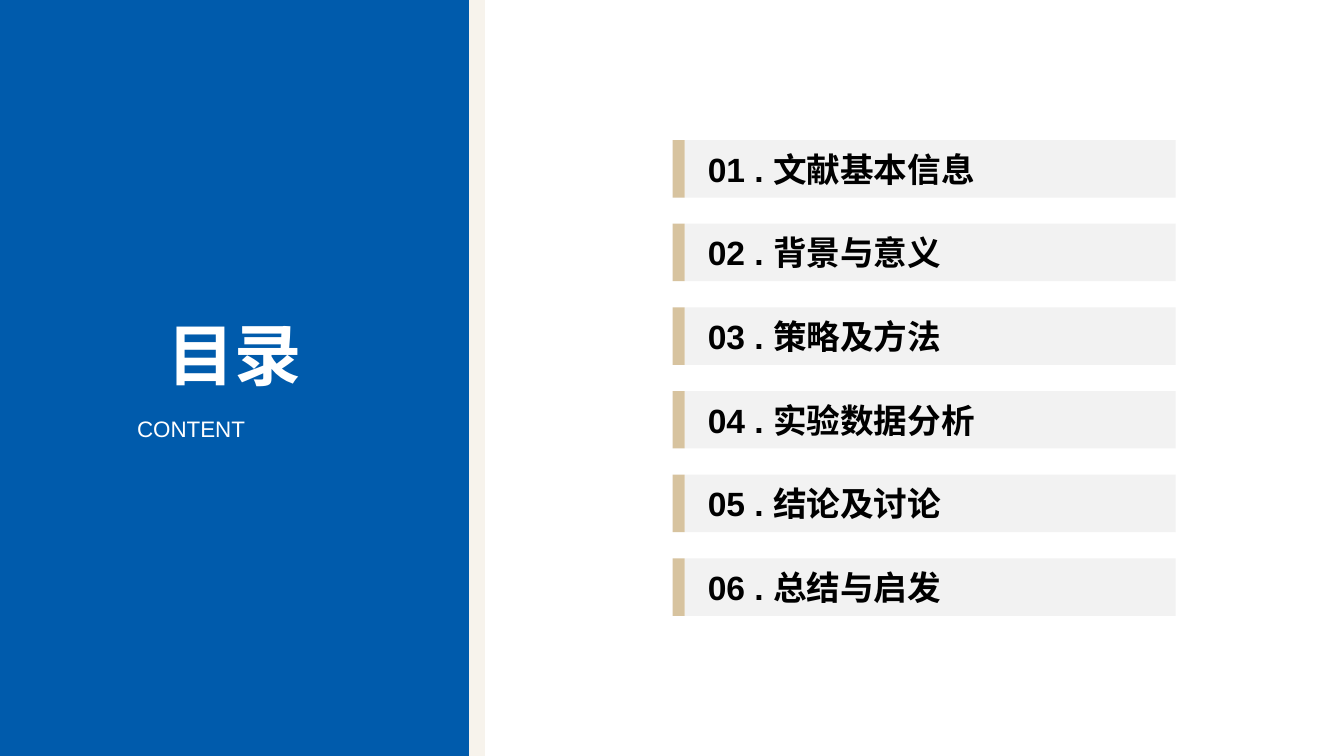
"""Build a contents slide with a blue side panel and six numbered entries."""
from dataclasses import dataclass

import pptx
import pptx.dml.color
import pptx.enum.shapes
import pptx.enum.text
import pptx.util

Inches = pptx.util.Inches
Align = pptx.enum.text.PP_ALIGN
Anchor = pptx.enum.text.MSO_ANCHOR

FONT = "Arial"
WHITE, BLACK = "FFFFFF", "000000"
BLUE, CREAM, TAN, GREY = "005BAC", "F7F3EC", "D7C39F", "F2F2F2"

ENTRIES = ["文献基本信息", "背景与意义", "策略及方法", "实验数据分析", "结论及讨论", "总结与启发"]
FIRST_TOP, ENTRY_PITCH, ENTRY_HEIGHT = 1.39, 0.83, 0.57
MARKER_LEFT, MARKER_WIDTH, ENTRY_WIDTH = 6.67, 0.12, 4.87


@dataclass(frozen=True)
class Box:
    left: float
    top: float
    width: float
    height: float

    def lengths(self) -> list[int]:
        return [Inches(value) for value in (self.left, self.top, self.width, self.height)]


@dataclass(frozen=True)
class TextStyle:
    size: int
    color: str
    bold: bool = False
    align: Align = Align.LEFT
    anchor: Anchor = Anchor.TOP
    left_inset: float = 0
    wrap: bool = True


def rgb(value: str) -> pptx.dml.color.RGBColor:
    return pptx.dml.color.RGBColor.from_string(value)


def add_block(slide, box: Box, color: str):
    shape = slide.shapes.add_shape(pptx.enum.shapes.MSO_SHAPE.RECTANGLE, *box.lengths())
    shape.shadow.inherit = False
    shape.fill.solid()
    shape.fill.fore_color.rgb = rgb(color)
    shape.line.fill.background()
    return shape


def write_text(shape, text: str, style: TextStyle) -> None:
    frame = shape.text_frame
    frame.margin_left = Inches(style.left_inset)
    frame.margin_top = frame.margin_right = frame.margin_bottom = 0
    frame.auto_size = pptx.enum.text.MSO_AUTO_SIZE.NONE
    frame.word_wrap = style.wrap
    frame.vertical_anchor = style.anchor
    paragraph = frame.paragraphs[0]
    paragraph.text = text
    paragraph.alignment = style.align
    paragraph.font.name = FONT
    paragraph.font.size = pptx.util.Pt(style.size)
    paragraph.font.bold = style.bold
    paragraph.font.color.rgb = rgb(style.color)


def add_entry(slide, index: int, name: str) -> None:
    top = FIRST_TOP + index * ENTRY_PITCH
    bar = Box(MARKER_LEFT + MARKER_WIDTH, top, ENTRY_WIDTH, ENTRY_HEIGHT)
    style = TextStyle(24, BLACK, bold=True, anchor=Anchor.MIDDLE, left_inset=0.23)
    write_text(add_block(slide, bar, GREY), f"{index + 1:02} . {name}", style)
    add_block(slide, Box(MARKER_LEFT, top, MARKER_WIDTH, ENTRY_HEIGHT), TAN)


def add_heading(slide) -> None:
    title = slide.shapes.title
    title.left, title.top, title.width, title.height = Box(1.56, 3.11, 1.53, 0.81).lengths()
    write_text(title, "目录", TextStyle(48, WHITE, bold=True, align=Align.CENTER))
    title.element.getparent().append(title.element)
    subtitle = slide.shapes.add_textbox(*Box(1.36, 4.12, 1.93, 0.27).lengths())
    write_text(subtitle, "CONTENT", TextStyle(16, WHITE, align=Align.JUSTIFY))


def main() -> None:
    presentation = pptx.Presentation()
    presentation.slide_width = Inches(13.33)
    presentation.slide_height = Inches(7.5)
    slide = presentation.slides.add_slide(presentation.slide_layouts.get_by_name("Title Only"))
    for index, name in enumerate(ENTRIES):
        add_entry(slide, index, name)
    add_block(slide, Box(0.16, 0, 4.65, 7.5), CREAM)
    add_block(slide, Box(0, 0, 4.65, 7.5), BLUE)
    add_heading(slide)
    presentation.save("out.pptx")


if __name__ == "__main__":
    main()
